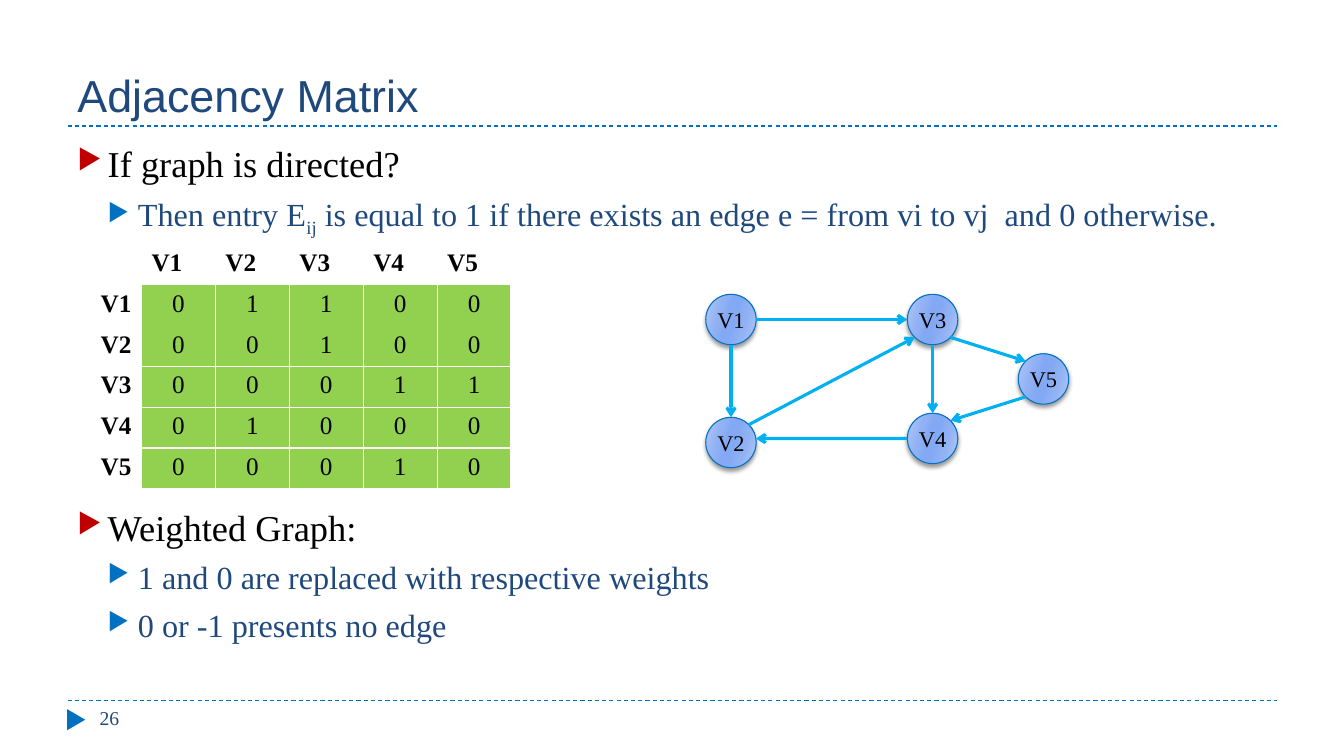
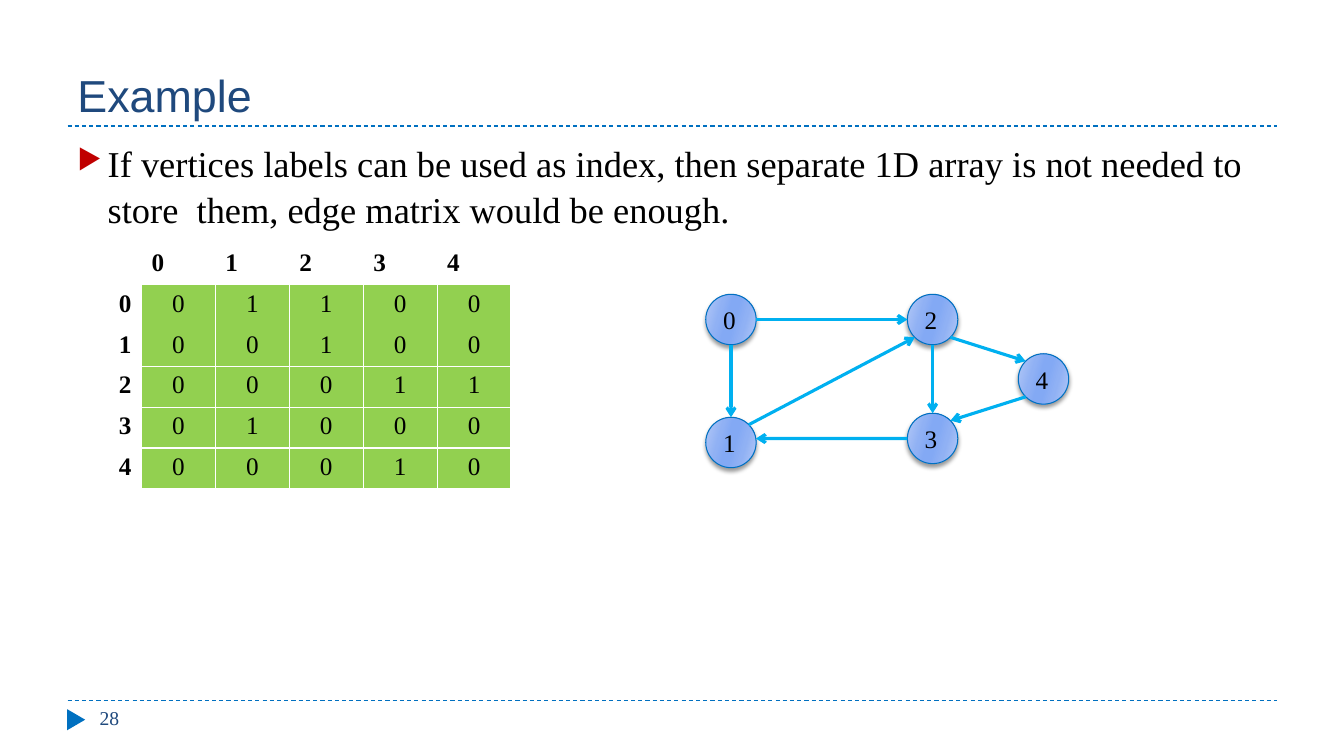
import math
from lxml import etree
from pptx import Presentation
from pptx import util as u
from pptx.dml.color import RGBColor
from pptx.enum import dml, shapes, text
from pptx.oxml import ns

NAVY = RGBColor(0x1F, 0x49, 0x7D)
BLUE = RGBColor(0x00, 0x70, 0xC0)
SKY = RGBColor(0x00, 0xB0, 0xF0)
RED = RGBColor(0xC0, 0x00, 0x00)
GREEN = RGBColor(0x92, 0xD0, 0x50)
BLACK = RGBColor(0x00, 0x00, 0x00)
WHITE = RGBColor(0xFF, 0xFF, 0xFF)
SANS, SERIF = "Arial", "Times New Roman"

LEFT, WIDE = 0.67, 12
BODY = 1.33
SHADES = [(0, "B4C9F6"), (30, "90B1F4"), (45, "83A9F4"),
          (55, "83A9F4"), (73, "90B1F4"), (100, "B4C9F6")]
LEVELS = [dict(size=26, color=BLACK, mark=RED, gap=6),
          dict(size=23, color=NAVY, mark=BLUE, gap=5)]
INDENT = 0.3

SIZE = 0.5
NODES = [(7, 2.92), (7, 4.14), (9, 2.92), (9, 4.1), (10.1, 3.51)]
EDGES = {(0, 1): (90, -90), (0, 2): (0, 180), (1, 2): (-45, 135),
         (2, 3): (90, -90), (2, 4): (45, 225), (3, 1): (180, -9),
         (4, 3): (135, -45)}


def put(obj, vals):
    for name, val in vals.items():
        setattr(obj, name, val)


def sub(node, tag, **vals):
    item = etree.SubElement(node, ns.qn(tag))
    for name, val in vals.items():
        item.set(name, str(val))
    return item


def write(para, words, size, color, face=SERIF, bold=False):
    run = para.add_run()
    run.text = words
    put(run.font, dict(size=u.Pt(size), name=face, bold=bold))
    run.font.color.rgb = color
    return run


def add_box(slide, left, top, width, height, anchor=text.MSO_ANCHOR.TOP):
    box = slide.shapes.add_textbox(*map(u.Inches, (left, top, width, height)))
    put(box.text_frame, dict(word_wrap=True, vertical_anchor=anchor))
    return box.text_frame


def add_line(pool, start, end, color, width):
    line = pool.add_connector(shapes.MSO_CONNECTOR.STRAIGHT,
                              *map(u.Inches, (*start, *end)))
    line.line.color.rgb = color
    line.line.width = u.Pt(width)
    sub(line.element.spPr, "a:effectLst")
    return line


def add_frame(slide, title, page):
    for top in (6.95, 1.25):
        rule = add_line(slide.shapes, (LEFT, top), (LEFT + WIDE, top), BLUE, 0.75)
        rule.line.dash_style = dml.MSO_LINE.DASH
    mark = slide.shapes.add_shape(shapes.MSO_SHAPE.ISOSCELES_TRIANGLE,
                                  *map(u.Inches, (0.65, 7.05, 0.21, 0.18)))
    mark.rotation = 90
    mark.shadow.inherit = False
    mark.fill.solid()
    mark.fill.fore_color.rgb = BLUE
    mark.line.fill.background()
    head = add_box(slide, LEFT, 0.17, WIDE, 1.08, text.MSO_ANCHOR.BOTTOM)
    write(head.paragraphs[0], title, 32, NAVY, SANS)
    foot = add_box(slide, 0.89, 6.95, 2.89, 0.4)
    write(foot.paragraphs[0], page, 14, NAVY)


def add_list(slide, top, height, items):
    frame = add_box(slide, LEFT, top, WIDE, height)
    for row, (level, *parts) in enumerate(items):
        style = LEVELS[level]
        para = frame.add_paragraph() if row else frame.paragraphs[0]
        put(para, dict(level=level, line_spacing=1.05,
                       space_before=u.Pt(style["gap"] if row else 0)))
        props = para._p.get_or_add_pPr()
        props.set("marL", str(u.Inches(INDENT * (level + 1))))
        props.set("indent", str(-u.Inches(INDENT)))
        sub(sub(props, "a:buClr"), "a:srgbClr", val=style["mark"])
        sub(props, "a:buSzPct", val=76000)
        sub(props, "a:buChar", char="▶")
        for col, words in enumerate(parts):
            run = write(para, words, style["size"], style["color"])
            if col % 2:
                run._r.get_or_add_rPr().set("baseline", "-25000")


def edge_cell(cell, bare):
    props = cell._tc.get_or_add_tcPr()
    for side in "LRTB":
        line = sub(props, "a:ln" + side, w=u.Pt(1))
        if side in bare:
            sub(line, "a:noFill")
        else:
            sub(sub(line, "a:solidFill"), "a:srgbClr", val=WHITE)


def add_matrix(slide, names):
    count = len(names) + 1
    grid = slide.shapes.add_table(count, count, *map(
        u.Inches, (LEFT, 2.42, 4.4, 2.43))).table
    put(grid, dict(first_row=False, horz_banding=False))
    for row in range(count):
        for col in range(count):
            cell = grid.cell(row, col)
            inner = row and col
            edge_cell(cell, {1: "B", 2: "T"}.get(row, "") if inner else "LRTB")
            para = cell.text_frame.paragraphs[0]
            if inner:
                cell.fill.solid()
                cell.fill.fore_color.rgb = GREEN
                para.alignment = text.PP_ALIGN.CENTER
                words = str(int((row - 1, col - 1) in EDGES))
            else:
                cell.fill.background()
                para.alignment = text.PP_ALIGN.RIGHT if row else text.PP_ALIGN.LEFT
                words = names[max(row, col) - 1] if row or col else ""
            if words:
                write(para, words, 18, BLACK, bold=not inner)


def add_node(pool, spot, name, size, align):
    node = pool.add_shape(shapes.MSO_SHAPE.OVAL,
                          *map(u.Inches, (*spot, SIZE, SIZE)))
    node.fill.gradient()
    node.fill.gradient_angle = 344
    props = node.element.spPr
    stops = props.find(".//" + ns.qn("a:gsLst"))
    for stop in list(stops):
        stops.remove(stop)
    for place, shade in SHADES:
        sub(sub(stops, "a:gs", pos=place * 1000), "a:srgbClr", val=shade)
    node.line.color.rgb = BLUE
    node.line.width = u.Pt(0.75)
    node.shadow.inherit = False
    shade = sub(props.find(ns.qn("a:effectLst")), "a:outerShdw",
                blurRad=u.Pt(3), dist=u.Pt(2), dir=5400000, rotWithShape=0)
    sub(sub(shade, "a:srgbClr", val=BLACK), "a:alpha", val=40000)
    frame = node.text_frame
    put(frame, dict(word_wrap=False, vertical_anchor=text.MSO_ANCHOR.MIDDLE))
    frame.paragraphs[0].alignment = align
    write(frame.paragraphs[0], name, size, BLACK)


def rim(node, angle):
    left, top = NODES[node]
    turn, half = math.radians(angle), SIZE / 2
    return left + half + half * math.cos(turn), top + half + half * math.sin(turn)


def add_graph(slide, names, size, align):
    pool = slide.shapes.add_group_shape().shapes
    for spot, name in zip(NODES, names):
        add_node(pool, spot, name, size, align)
    for (tail, head), (out, into) in EDGES.items():
        line = add_line(pool, rim(tail, out), rim(head, into), SKY, 2.25)
        sub(line.line._get_or_add_ln(), "a:tailEnd", type="arrow")


def main():
    deck = Presentation()
    put(deck, dict(slide_width=u.Inches(13.33), slide_height=u.Inches(7.5)))
    blank = deck.slide_layouts[6]

    slide = deck.slides.add_slide(blank)
    add_frame(slide, "Adjacency Matrix", "26")
    add_list(slide, BODY, 1.05, [
        (0, "If graph is directed?"),
        (1, "Then entry E", "ij",
         " is equal to 1 if there exists an edge e = from vi to vj  and 0 otherwise.")])
    names = [f"V{num}" for num in range(1, 6)]
    add_matrix(slide, names)
    add_graph(slide, names, 16, text.PP_ALIGN.CENTER)
    add_list(slide, 4.94, 1.79, [
        (0, "Weighted Graph:"),
        (1, "1 and 0 are replaced with respective weights"),
        (1, "0 or -1 presents no edge")])

    slide = deck.slides.add_slide(blank)
    add_frame(slide, "Example", "28")
    add_list(slide, BODY, 1.05, [
        (0, "If vertices labels can be used as index, then separate 1D array is "
            "not needed to store  them, edge matrix would be enough.")])
    names = [str(num) for num in range(5)]
    add_matrix(slide, names)
    add_graph(slide, names, 18, text.PP_ALIGN.LEFT)

    deck.save("out.pptx")


if __name__ == "__main__":
    main()
